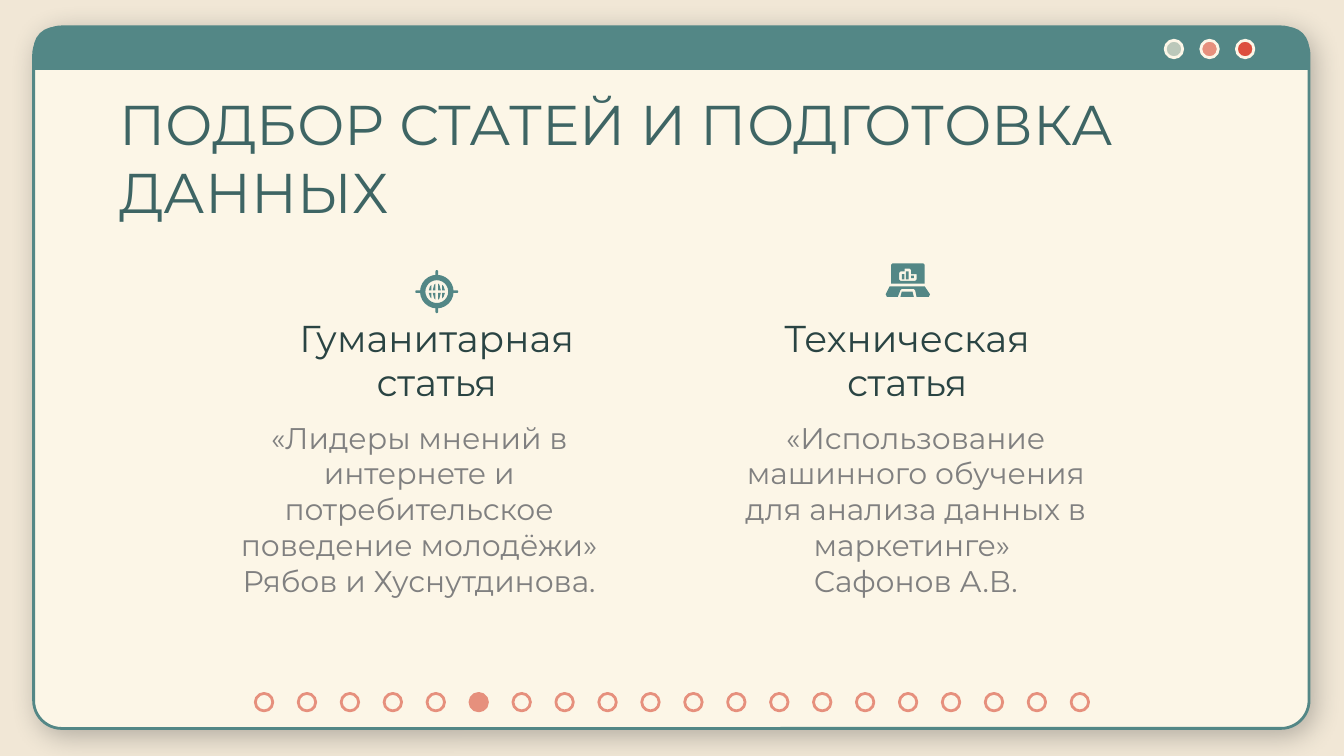
"""Build a slide that pairs two articles inside a window frame."""
import pptx
import pptx.util
import pptx.dml.color
import pptx.enum.shapes
import pptx.enum.text
import pptx.oxml
import pptx.oxml.ns

Inches = pptx.util.Inches
KIND = pptx.enum.shapes.MSO_SHAPE
ALIGN = pptx.enum.text.PP_ALIGN
ANCHOR = pptx.enum.text.MSO_ANCHOR

TEAL, CREAM, CORAL = "538786", "FCF6E7", "E6907D"
INK, GREY = "2A4443", "808080"
TITLE = "ПОДБОР СТАТЕЙ И ПОДГОТОВКА ДАННЫХ"
CARDS = [
    {
        "head": "Гуманитарная статья", "left": 1.88,
        "body": ["«Лидеры мнений в интернете и потребительское поведение молодёжи»",
                 "Рябов и Хуснутдинова."],
        "box": (1.62, 3.02, 3, 1.59),
    },
    {
        "head": "Техническая статья", "left": 5.38,
        "body": ["«Использование машинного обучения для анализа данных в маркетинге» ",
                 "Сафонов А.В."],
        "box": (5.38, 3.02, 2.87, 1.59),
    },
]
LIGHTS = ["BBC8BA", CORAL, "DD4F3D"]
DOTS, ACTIVE = 20, 5
DOT_LEFT, DOT_SPAN, DOT_SIZE = 1.9, 6.07, 0.13

GLOBE, RING = (3.25, 2.17), 0.25
PANES = [
    [(0.01, 0.01), (0.01, 0.06), (0.02, 0.05), (0.03, 0.01)],
    [(0.04, 0.01), (0.04, 0.05), (0.05, 0.04), (0.06, 0.01)],
]
TICKS = [(-0.01, -0.16, 0.02, 0.05), (-0.01, 0.11, 0.02, 0.05),
         (-0.16, -0.01, 0.05, 0.02), (0.11, -0.01, 0.05, 0.02)]
BARS = [(6.71, 2.04, 0.02, 0.04), (6.74, 2.02, 0.02, 0.06), (6.78, 2.05, 0.02, 0.02)]
SCREEN = [
    [(6.63, 2.11), (6.63, 1.97), (6.64, 1.96), (6.87, 1.96), (6.88, 1.97), (6.88, 2.11)],
    [(6.69, 2.08), (6.7, 2.09), (6.81, 2.09), (6.82, 2.08), (6.82, 2.04), (6.78, 2.04),
     (6.78, 2.01), (6.77, 2), (6.73, 2), (6.73, 2.02), (6.7, 2.02), (6.69, 2.03)],
]
BASE = [[(6.88, 2.13), (6.62, 2.13), (6.59, 2.19), (6.6, 2.21), (6.68, 2.21), (6.7, 2.16),
         (6.71, 2.15), (6.8, 2.15), (6.81, 2.16), (6.82, 2.21), (6.91, 2.21), (6.92, 2.19)]]
PAD = [[(6.71, 2.17), (6.7, 2.21), (6.8, 2.21), (6.79, 2.17)]]


def color(code):
    return pptx.dml.color.RGBColor.from_string(code)


def paint(shape, fill, line=None):
    shape.shadow.inherit = False
    shape.fill.solid()
    shape.fill.fore_color.rgb = color(fill)
    if line:
        shape.line.color.rgb = color(line)
        shape.line.width = pptx.util.Pt(1.5)
    else:
        shape.line.fill.background()
    return shape


def draw(kind, box, fill, line=None, adjust=()):
    shape = slide.shapes.add_shape(kind, *map(Inches, box))
    for i, value in enumerate(adjust):
        shape.adjustments[i] = value
    return paint(shape, fill, line)


def trace(loops):
    loops = [[(Inches(x), Inches(y)) for x, y in loop] for loop in loops]
    pen = slide.shapes.build_freeform(*loops[0][0])
    pen.add_line_segments(loops[0][1:])
    for loop in loops[1:]:
        pen.move_to(*loop[0])
        pen.add_line_segments(loop[1:])
    paint(pen.convert_to_shape(), TEAL)


def write(box, lines, size, code, align=ALIGN.CENTER, anchor=ANCHOR.TOP):
    frame = slide.shapes.add_textbox(*map(Inches, box)).text_frame
    frame.word_wrap = True
    frame.vertical_anchor = anchor
    frame.margin_left = frame.margin_right = Inches(0.1)
    frame.margin_top = frame.margin_bottom = Inches(0.1)
    frame.text = "\n".join(lines)
    for para in frame.paragraphs:
        para.alignment = align
        para.font.name = "Montserrat"
        para.font.size = pptx.util.Pt(size)
        para.font.color.rgb = color(code)


def shade(shape):
    blur, gap = pptx.util.Pt(14.6), pptx.util.Pt(3.8)
    effects = shape._element.spPr.find(pptx.oxml.ns.qn("a:effectLst"))
    effects.append(pptx.oxml.parse_xml(
        f'<a:outerShdw {pptx.oxml.ns.nsdecls("a")} blurRad="{blur}" dist="{gap}" '
        f'dir="{50 * 60000}" algn="bl" rotWithShape="0">'
        '<a:srgbClr val="24282A"><a:alpha val="30000"/></a:srgbClr></a:outerShdw>'))


deck = pptx.Presentation()
deck.slide_width = Inches(10)
deck.slide_height = deck.slide_width * 9 // 16
slide = deck.slides.add_slide(deck.slide_layouts[6])
slide.background.fill.solid()
slide.background.fill.fore_color.rgb = color("F1E7D6")

shade(draw(KIND.ROUNDED_RECTANGLE, (0.25, 0.2, 9.49, 5.22), CREAM, TEAL, [0.04]))
draw(KIND.ROUND_2_SAME_RECTANGLE, (0.25, 0.2, 9.49, 0.32), TEAL, adjust=[0.5, 0])
for i, code in enumerate(LIGHTS):
    draw(KIND.OVAL, (8.67 + i * 0.53 / 2, 0.3, DOT_SIZE, DOT_SIZE), code, CREAM)

write((0.79, 0.57, 8.43, 0.63), [TITLE], 30, "3E6564", ALIGN.LEFT)
for card in CARDS:
    write((card["left"], 2.61, 2.74, 0.5), [card["head"]], 20, INK, anchor=ANCHOR.BOTTOM)
    write(card["box"], card["body"], 16, GREY)

mid, row = GLOBE
draw(KIND.DONUT, (mid - RING / 2, row - RING / 2, RING, RING), TEAL, adjust=[0.16])
for x, y, wide, high in TICKS:
    draw(KIND.ROUNDED_RECTANGLE, (mid + x, row + y, wide, high), TEAL, adjust=[0.5])
for pane in PANES:
    for flip in (-1, 1):
        for turn in (-1, 1):
            trace([[(mid + flip * x, row + turn * y) for x, y in pane]])

for bar in BARS:
    draw(KIND.RECTANGLE, bar, TEAL)
for loops in (SCREEN, BASE, PAD):
    trace(loops)

for i in range(DOTS):
    left = DOT_LEFT + i * DOT_SPAN / (DOTS - 1)
    fill = CORAL if i == ACTIVE else CREAM
    draw(KIND.OVAL, (left, 5.16, DOT_SIZE, DOT_SIZE), fill, CORAL)

deck.save("out.pptx")
